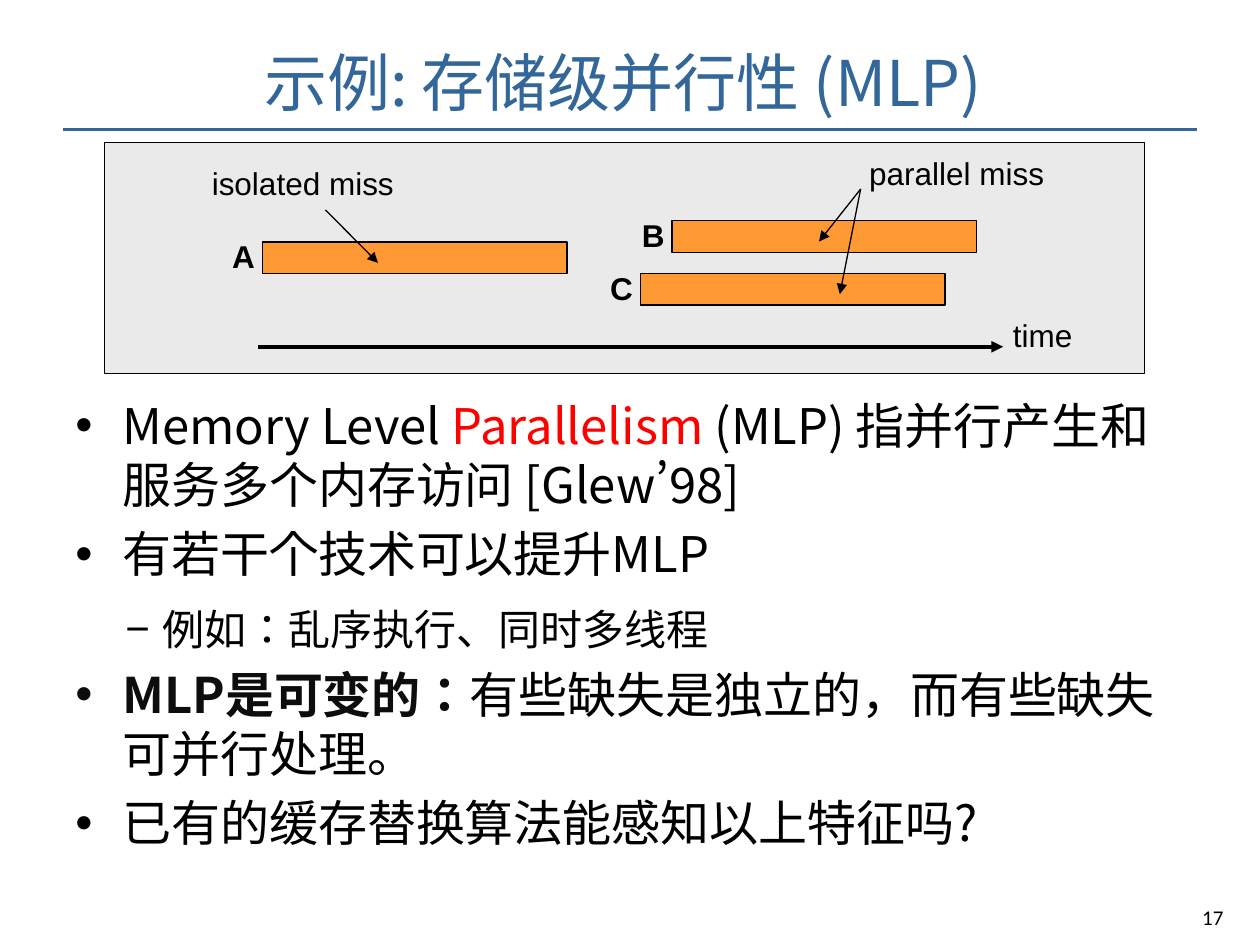
from dataclasses import dataclass
from typing import NamedTuple

from lxml import etree
from pptx import Presentation
from pptx.dml.color import RGBColor
from pptx.enum import lang, shapes, text
from pptx.oxml import ns
from pptx.util import Cm, Pt


@dataclass(frozen=True)
class Theme:
    blue: str = "336699"
    black: str = "000000"
    dark: str = "0D0D0D"
    red: str = "FF0000"
    panel: str = "EAEAEA"
    bar: str = "FF9933"
    cjk: str = "Noto Sans CJK SC"
    quote: str = "Noto Sans CJK JP"
    sans: str = "Arial"
    number: str = "Calibri"
    title: int = 36
    main: int = 28
    sub: int = 24
    label: int = 18
    small: int = 12
    thin: float = 0.75


T = Theme()


class Box(NamedTuple):
    x: float
    y: float
    w: float
    h: float


class Miss(NamedTuple):
    name: str
    x: float
    y: float


class Label(NamedTuple):
    words: str
    box: Box


class Line(NamedTuple):
    x1: float
    y1: float
    x2: float
    y2: float
    color: str
    width: float
    arrow: bool = True


class Run(NamedTuple):
    words: str
    color: str = T.black
    font: str = T.cjk
    bold: bool = False


class Item(NamedTuple):
    runs: list[Run]
    level: int = 0


BAR_W, BAR_H = 6.14, 0.64
TIP = 17.35, 3.81

MISSES = [
    Miss("A", 5.29, 4.88),
    Miss("B", 13.55, 4.45),
    Miss("C", 12.91, 5.51),
]
LABELS = [
    Label("time", Box(20.17, 6.25, 2.33, 1.27)),
    Label("isolated miss", Box(4.02, 3.18, 5.71, 1.27)),
    Label("parallel miss", Box(17.27, 2.98, 5.29, 1.27)),
]
RULE = Line(1.27, 2.61, 24.13, 2.61, T.blue, 2, False)
ARROWS = [
    Line(5.21, 6.99, 20.22, 6.99, T.black, 2.25),
    Line(6.56, 4.23, 7.62, 5.3, T.black, T.thin),
    Line(*TIP, 16.51, 4.87, T.black, T.thin),
    Line(*TIP, 16.93, 5.93, T.black, T.thin),
]
ITEMS = [
    Item([
        Run("Memory Level "),
        Run("Parallelism", T.red),
        Run(" (MLP) 指并行产生和服务多个内存访问 [Glew"),
        Run("’", font=T.quote),
        Run("98]"),
    ]),
    Item([Run("有若干个技术可以提升MLP")]),
    Item([Run("例如：乱序执行、同时多线程")], 1),
    Item([
        Run("MLP是可变的：", T.dark, bold=True),
        Run("有些缺失是独立的，而有些缺失可并行处理。"),
    ]),
    Item([Run("已有的缓存替换算法能感知以上特征吗?")]),
]


def write(para, words: str, *, size: float, font: str = T.sans,
          color: str = T.black, bold: bool = False) -> None:
    run = para.add_run()
    run.text = words
    face = run.font
    face.size, face.name, face.bold = Pt(size), font, bold
    face.color.rgb = RGBColor.from_string(color)
    if font == T.quote:
        face.language_id = lang.MSO_LANGUAGE_ID.JAPANESE
    latin = run._r.rPr.find(ns.qn("a:latin"))
    east = etree.Element(ns.qn("a:ea"), typeface=font)
    latin.addnext(east)


def frame(slide, box: Box):
    area = slide.shapes.add_textbox(*map(Cm, box)).text_frame
    area.word_wrap = True
    return area


def label(slide, item: Label, bold: bool = False) -> None:
    para = frame(slide, item.box).paragraphs[0]
    write(para, item.words, size=T.label, bold=bold)


def block(slide, box: Box, fill: str) -> None:
    shape = slide.shapes.add_shape(shapes.MSO_SHAPE.RECTANGLE, *map(Cm, box))
    shape.shadow.inherit = False
    shape.fill.solid()
    shape.fill.fore_color.rgb = RGBColor.from_string(fill)
    shape.line.color.rgb = RGBColor.from_string(T.black)
    shape.line.width = Pt(T.thin)


def stroke(slide, line: Line) -> None:
    ends = map(Cm, line[:4])
    link = slide.shapes.add_connector(shapes.MSO_CONNECTOR.STRAIGHT, *ends)
    link.line.color.rgb = RGBColor.from_string(line.color)
    link.line.width = Pt(line.width)
    if line.arrow:
        etree.SubElement(link.line._get_or_add_ln(), ns.qn("a:tailEnd"),
                         type="triangle")
    etree.SubElement(link._element.spPr, ns.qn("a:effectLst"))


def bullet(para, level: int) -> None:
    mark, left, hang = [("•", 0.95, 0.95), ("−", 1.75, 0.74)][level]
    props = para._p.get_or_add_pPr()
    props.set("marL", str(Cm(left)))
    props.set("indent", str(-Cm(hang)))
    etree.SubElement(props, ns.qn("a:buFont"), typeface=T.sans)
    etree.SubElement(props, ns.qn("a:buChar"), char=mark)


def body(slide, box: Box) -> None:
    area = frame(slide, box)
    for i, item in enumerate(ITEMS):
        para = area.add_paragraph() if i else area.paragraphs[0]
        para.level = item.level
        para.space_before = Pt(6 * item.level)
        para.space_after = Pt(6)
        bullet(para, item.level)
        for run in item.runs:
            write(para, run.words, size=T.sub if item.level else T.main,
                  font=run.font, color=run.color, bold=run.bold)


def head(slide, box: Box) -> None:
    title = slide.shapes.title
    title.left, title.top, title.width, title.height = map(Cm, box)
    area = title.text_frame
    area.auto_size = text.MSO_AUTO_SIZE.NONE
    area.vertical_anchor = text.MSO_ANCHOR.MIDDLE
    para = area.paragraphs[0]
    para.alignment = text.PP_ALIGN.CENTER
    write(para, "示例: 存储级并行性 (MLP) ", size=T.title, font=T.cjk,
          color=T.blue)


def number(slide, box: Box) -> None:
    para = frame(slide, box).paragraphs[0]
    para.alignment = text.PP_ALIGN.CENTER
    write(para, "17", size=T.small, font=T.number)


def main() -> None:
    deck = Presentation()
    deck.slide_width, deck.slide_height = Cm(25.4), Cm(19.05)
    slide = deck.slides.add_slide(deck.slide_layouts[5])
    stroke(slide, RULE)
    head(slide, Box(1.27, 0.53, 22.86, 2.21))
    body(slide, Box(1.27, 7.85, 22.86, 9.53))
    number(slide, Box(23.5, 18.1, 1.9, 0.58))
    block(slide, Box(2.11, 2.88, 20.96, 4.65), T.panel)
    for miss in MISSES:
        block(slide, Box(miss.x, miss.y, BAR_W, BAR_H), T.bar)
        spot = Box(miss.x - 0.86, miss.y - 0.22, 1.7, 1.02)
        label(slide, Label(miss.name, spot), bold=True)
    for item in LABELS:
        label(slide, item)
    for line in ARROWS:
        stroke(slide, line)
    deck.save("out.pptx")


if __name__ == "__main__":
    main()
